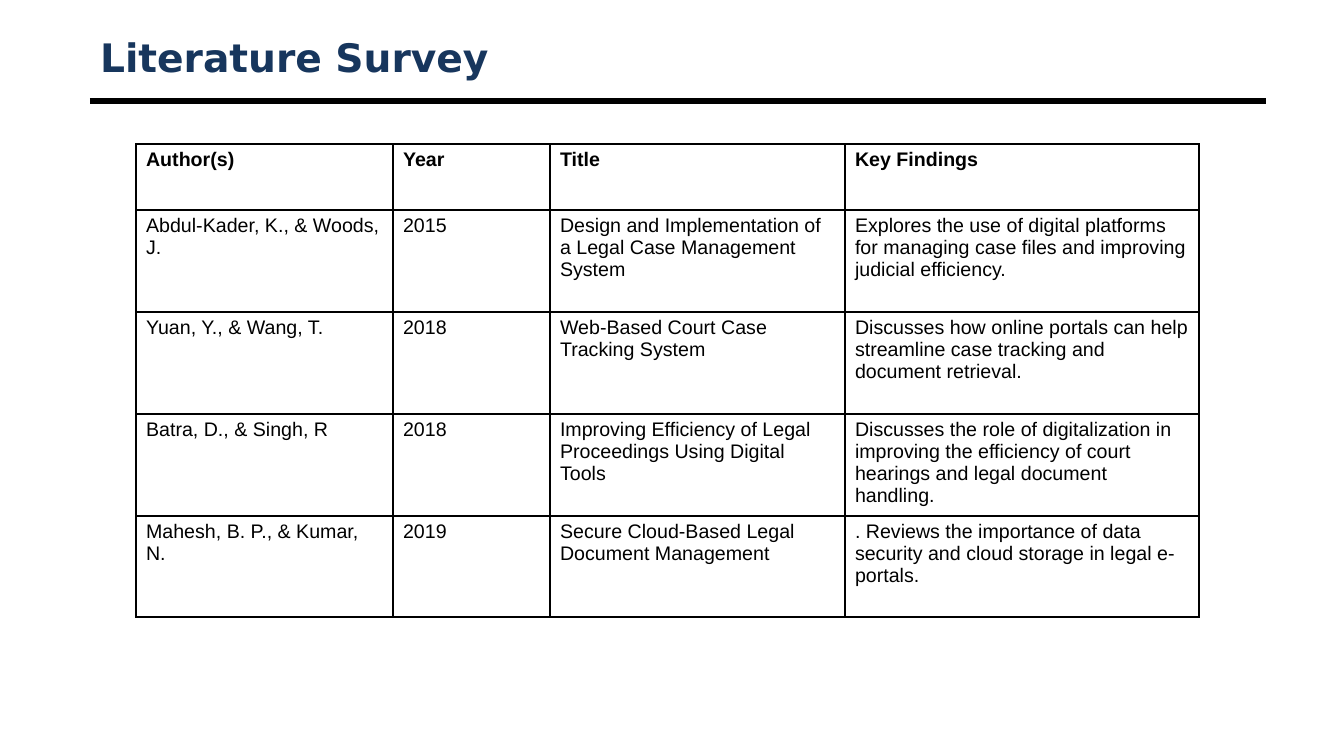
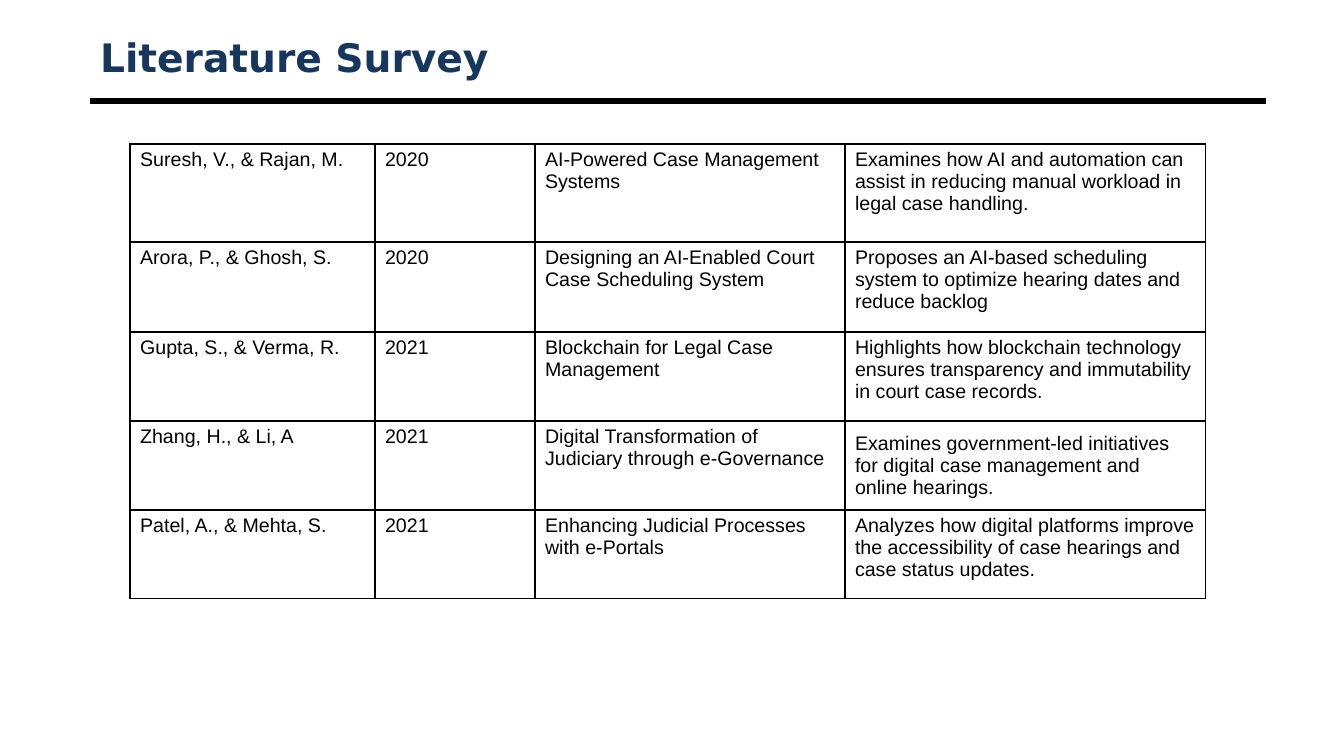
import lxml.etree
import pptx
import pptx.dml.color
import pptx.enum.shapes
import pptx.enum.text
import pptx.oxml.ns
import pptx.util

PX = 914400 / 100.8
COLORS = {"title": "17365D", "ink": "000000"}
TITLE_FONT, BODY_FONT = "DejaVu Sans", "Arial"
LEFT, RIGHT, RULE_Y, TABLE_TOP = 90, 1266, 101, 144

SURVEYS = [
    {
        "left": 136,
        "columns": [257, 157, 295, 354],
        "rows": [66, 102, 102, 102, 101],
        "has_header": True,
        "centered": [],
        "entries": [
            ("Author(s)", "Year", "Title", "Key Findings"),
            ("Abdul-Kader, K., & Woods, J.", "2015",
             "Design and Implementation of a Legal Case Management System",
             "Explores the use of digital platforms for managing case files and improving judicial efficiency."),
            ("Yuan, Y., & Wang, T.", "2018",
             "Web-Based Court Case Tracking System",
             "Discusses how online portals can help streamline case tracking and document retrieval."),
            ("Batra, D., & Singh, R", "2018",
             "Improving Efficiency of Legal Proceedings Using Digital Tools",
             "Discusses the role of digitalization in improving the efficiency of court hearings "
             "and legal document handling."),
            ("Mahesh, B. P., & Kumar, N.", "2019",
             "Secure Cloud-Based Legal Document Management",
             ". Reviews the importance of data security and cloud storage in legal e-portals."),
        ],
    },
    {
        "left": 130,
        "columns": [245, 160, 310, 361],
        "rows": [98, 90, 89, 89, 89],
        "has_header": False,
        "centered": [(3, 3)],
        "entries": [
            ("Suresh, V., & Rajan, M.", "2020",
             "AI-Powered Case Management Systems",
             "Examines how AI and automation can assist in reducing manual workload in legal case handling."),
            ("Arora, P., & Ghosh, S.", "2020",
             "Designing an AI-Enabled Court Case Scheduling System",
             "Proposes an AI-based scheduling system to optimize hearing dates and reduce backlog"),
            ("Gupta, S., & Verma, R.", "2021",
             "Blockchain for Legal Case Management",
             "Highlights how blockchain technology ensures transparency and immutability in court case records."),
            ("Zhang, H., & Li, A", "2021",
             "Digital Transformation of Judiciary through e-Governance",
             "Examines government-led initiatives for digital case management and online hearings."),
            ("Patel, A., & Mehta, S.", "2021",
             "Enhancing Judicial Processes with e-Portals",
             "Analyzes how digital platforms improve the accessibility of case hearings and case status updates."),
        ],
    },
]


def px(*lengths):
    """Turn pixel lengths into a list of EMU lengths."""
    return [pptx.util.Emu(round(length * PX)) for length in lengths]


def style_font(font, name, size, color, bold):
    font.name, font.size, font.bold = name, pptx.util.Pt(size), bold
    font.color.rgb = pptx.dml.color.RGBColor.from_string(COLORS[color])


qn = pptx.oxml.ns.qn
deck = pptx.Presentation()
deck.slide_width, deck.slide_height = px(1344, 756)
layout = deck.slide_layouts[5]
layout_title = layout.placeholders[0]
layout_title.left, layout_title.top, layout_title.width, layout_title.height = px(
    LEFT, 30, RIGHT - LEFT, 53)

for survey in SURVEYS:
    slide = deck.slides.add_slide(layout)

    rule = slide.shapes.add_connector(
        pptx.enum.shapes.MSO_CONNECTOR.STRAIGHT, *px(LEFT, RULE_Y, RIGHT, RULE_Y))
    rule.line.width = pptx.util.Pt(4.5)
    rule.line.color.rgb = pptx.dml.color.RGBColor.from_string(COLORS["ink"])
    lxml.etree.SubElement(rule.element.spPr, qn("a:effectLst"))

    heading = slide.shapes.title.text_frame
    heading.text = "Literature Survey"
    heading.auto_size = pptx.enum.text.MSO_AUTO_SIZE.NONE
    heading.vertical_anchor = pptx.enum.text.MSO_ANCHOR.MIDDLE
    heading.paragraphs[0].alignment = pptx.enum.text.PP_ALIGN.LEFT
    style_font(heading.paragraphs[0].font, TITLE_FONT, 28, "title", True)

    columns, rows = survey["columns"], survey["rows"]
    papers = slide.shapes.add_table(
        len(rows), len(columns),
        *px(survey["left"], TABLE_TOP, sum(columns), sum(rows))).table
    papers.first_row = survey["has_header"]
    papers.horz_banding = False
    for column, width in zip(papers.columns, px(*columns)):
        column.width = width
    for row, height in zip(papers.rows, px(*rows)):
        row.height = height

    for r, entry in enumerate(survey["entries"]):
        for c, words in enumerate(entry):
            cell = papers.cell(r, c)
            cell.text = words
            style_font(cell.text_frame.paragraphs[0].font, BODY_FONT, 14, "ink",
                       survey["has_header"] and r == 0)
            if (r, c) in survey["centered"]:
                cell.vertical_anchor = pptx.enum.text.MSO_ANCHOR.MIDDLE
            properties = cell.fill and cell.text_frame and cell._tc.get_or_add_tcPr()
            for side in ("a:lnL", "a:lnR", "a:lnT", "a:lnB"):
                border = lxml.etree.SubElement(properties, qn(side), w=str(pptx.util.Pt(1)))
                ink = lxml.etree.SubElement(border, qn("a:solidFill"))
                lxml.etree.SubElement(ink, qn("a:srgbClr"), val=COLORS["ink"])
            cell.fill.background()

deck.save("out.pptx")
